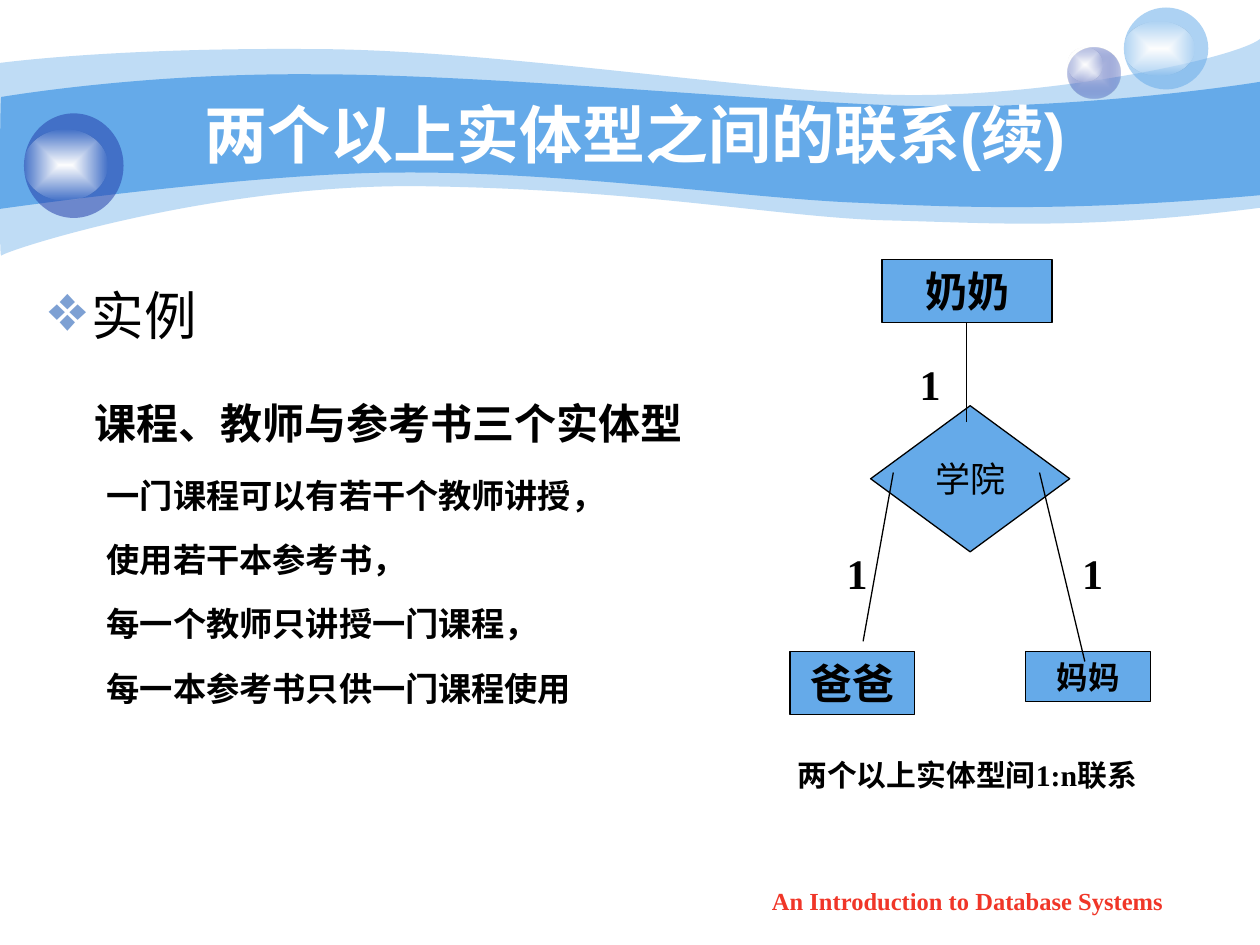
from dataclasses import dataclass, field
from typing import NamedTuple, Optional

from lxml import etree
from pptx import Presentation
from pptx.dml.color import RGBColor
from pptx.enum.shapes import MSO_CONNECTOR as CONN, MSO_SHAPE as SHAPE
from pptx.enum.text import MSO_ANCHOR as ANCHOR, MSO_AUTO_SIZE as FIT, PP_ALIGN as ALIGN
from pptx.oxml import parse_xml
from pptx.oxml.ns import nsdecls, qn
from pptx.util import Inches, Pt

SKY, NAVY, WHITE, BLACK = "65AAE9", "233DA9", "FFFFFF", "000000"
SERIF = dict(name="Times New Roman", bold=True)


class Box(NamedTuple):
    x: float
    y: float
    w: float
    h: float


@dataclass
class Band:
    start: tuple
    segments: list
    alpha: Optional[int] = None


@dataclass
class Orb:
    box: Box
    color: str
    alpha: Optional[int] = None
    inner: Optional[str] = None


@dataclass
class Node:
    text: str
    box: Box
    size: int = 24
    kind: SHAPE = SHAPE.RECTANGLE
    bold: bool = True


@dataclass
class Label:
    text: str
    box: Box
    size: int = 24
    color: str = BLACK
    align: ALIGN = ALIGN.LEFT


@dataclass
class Para:
    text: str
    size: int
    left: float
    before: float = 0
    bold: bool = True
    bullet: dict = field(default_factory=dict)


BANDS = [
    Band((0, 0.5), [
        ((0.24, 0.47), (1.08, 0.38), (2.47, 0.39)),
        ((3.86, 0.39), (5.75, 0.7), (6.99, 0.75)),
        ((8.22, 0.8), (9.8, 0.47), (10, 0.31)),
        ((10, 1.65),),
        ((8.58, 1.83), (7.88, 1.77), (7.05, 1.75)),
        ((6.22, 1.73), (5.15, 1.51), (3.43, 1.48)),
        ((1.72, 1.44), (0.04, 1.99), (0.01, 2.03)),
        ((-0.01, 2.08), (0, 0.75), (0, 0.5))], 41),
    Band((0.01, 0.77), [
        ((0.02, 0.77), (1.1, 0.58), (2.48, 0.59)),
        ((3.87, 0.59), (5.96, 0.8), (7.18, 0.84)),
        ((8.41, 0.88), (9.76, 0.69), (10, 0.65)),
        ((10, 1.55),),
        ((8.53, 1.68), (7.65, 1.65), (6.82, 1.61)),
        ((5.99, 1.58), (4.47, 1.36), (3.17, 1.37)),
        ((2.03, 1.37), (-0.02, 1.66), (-0.01, 1.66)),
        ((0, 1.66), (0, 0.77), (0.01, 0.77))]),
]
ORBS = [
    Orb(Box(8.47, 0.38, 0.42, 0.4), NAVY, 31, "C7CEE9"),
    Orb(Box(8.47, 0.38, 0.28, 0.27), WHITE, 0, WHITE),
    Orb(Box(8.92, 0.06, 0.67, 0.65), SKY, 53),
    Orb(Box(8.92, 0.17, 0.56, 0.43), WHITE, 0, WHITE),
    Orb(Box(0.19, 0.9, 0.79, 0.83), NAVY, 53),
    Orb(Box(0.19, 1.03, 0.66, 0.56), WHITE, 0, WHITE),
]
BODY = [
    Para("实例", 30, 0.38, bold=False, bullet=dict(char="❖", color="7DA0D3", size=125, hang=0.34)),
    Para("课程、教师与参考书三个实体型", 24, 0.4, 17.5),
    Para("一门课程可以有若干个教师讲授，", 19, 0.5, 6.8),
    Para("使用若干本参考书，", 19, 0.5, 4.8),
    Para("每一个教师只讲授一门课程，", 19, 0.5, 4.8),
    Para("每一本参考书只供一门课程使用", 19, 0.5, 4.8),
]
NODES = [
    Node("奶奶", Box(7, 2.06, 1.35, 0.5)),
    Node("学院", Box(6.91, 3.22, 1.58, 1.16), 20, SHAPE.DIAMOND, False),
    Node("爸爸", Box(6.27, 5.17, 0.99, 0.5)),
    Node("妈妈", Box(8.14, 5.17, 0.99, 0.4), 18),
]
LINKS = [(7.67, 3.35, 7.67, 2.56), (7.09, 3.75, 6.85, 5.09), (8.25, 3.75, 8.61, 5.25)]
LABELS = [Label("1", Box(x, y, 0.29, 0.5)) for x, y in ((7.2, 2.8), (6.62, 4.3), (8.49, 4.3))] + [
    Label("两个以上实体型间1:n联系", Box(6.1, 5.96, 3.15, 0.39), 17, align=ALIGN.CENTER),
    Label("An Introduction to Database Systems", Box(5.71, 6.98, 3.94, 0.35), 14, "F03628", ALIGN.CENTER),
]


def rgb(color: str) -> RGBColor:
    return RGBColor.from_string(color)


def apply(obj, formats: dict) -> None:
    for name, value in formats.items():
        setattr(obj, name, value)


def inches(box) -> list:
    return [Inches(v) for v in box]


def write(p, text: str, size: float, color: str, **font) -> None:
    r = p.add_run()
    r.text = text
    apply(r.font, dict(size=Pt(size), **font))
    r.font.color.rgb = rgb(color)


def paint(sp, color: str, alpha: Optional[int] = None) -> None:
    sp.shadow.inherit = False
    sp.fill.solid()
    sp.fill.fore_color.rgb = rgb(color)
    sp.line.fill.background()
    if alpha is not None:
        clr = sp._element.spPr.find(qn("a:solidFill"))[0]
        etree.SubElement(clr, qn("a:alpha")).set("val", str(alpha * 1000))


def glow(sp, inner: str, outer: str, alpha: int) -> None:
    solid = sp._element.spPr.find(qn("a:solidFill"))
    grad = parse_xml(
        f'<a:gradFill {nsdecls("a")} rotWithShape="1"><a:gsLst>'
        f'<a:gs pos="0"><a:srgbClr val="{inner}"/></a:gs>'
        f'<a:gs pos="100000"><a:srgbClr val="{outer}"><a:alpha val="{alpha * 1000}"/></a:srgbClr></a:gs>'
        '</a:gsLst><a:path path="rect"><a:fillToRect l="50000" t="50000" r="50000" b="50000"/>'
        '</a:path></a:gradFill>')
    solid.getparent().replace(solid, grad)


def bend(sp, segments: list) -> None:
    lines = iter(list(sp._element.iter(qn("a:lnTo"))))
    for seg in segments:
        first, *rest = [next(lines) for _ in seg]
        if rest:
            curve = etree.Element(qn("a:cubicBezTo"))
            first.addprevious(curve)
            for line in (first, *rest):
                curve.append(line[0])
                line.getparent().remove(line)


def draw_band(s, band: Band) -> None:
    builder = s.shapes.build_freeform(*inches(band.start))
    builder.add_line_segments([inches(pt) for seg in band.segments for pt in seg], close=True)
    sp = builder.convert_to_shape()
    bend(sp, band.segments)
    paint(sp, SKY, band.alpha)


def draw_orb(s, orb: Orb) -> None:
    sp = s.shapes.add_shape(SHAPE.OVAL, *inches(orb.box))
    paint(sp, orb.color, orb.alpha)
    if orb.inner:
        glow(sp, orb.inner, orb.color, orb.alpha)


def draw_title(s, text: str) -> None:
    sp = s.shapes.title
    apply(sp, dict(zip(("left", "top", "width", "height"), inches((1, 0.75, 8.08, 0.62)))))
    sp._element.getparent().append(sp._element)
    tf = sp.text_frame
    apply(tf, dict(word_wrap=True, auto_size=FIT.NONE, vertical_anchor=ANCHOR.MIDDLE))
    tf.paragraphs[0].alignment = ALIGN.CENTER
    write(tf.paragraphs[0], text, 36, WHITE, name="Arial", bold=True)


def draw_body(s, paras: list) -> None:
    tf = s.shapes.add_textbox(*inches((0.25, 2, 9, 4.92))).text_frame
    tf.word_wrap = True
    for i, para in enumerate(paras):
        p = tf.add_paragraph() if i else tf.paragraphs[0]
        pPr = p._p.get_or_add_pPr()
        pPr.set("marL", str(Inches(para.left)))
        pPr.set("indent", str(-Inches(para.bullet.get("hang", 0))))
        if para.bullet:
            clr = etree.SubElement(pPr, qn("a:buClr"))
            etree.SubElement(clr, qn("a:srgbClr")).set("val", para.bullet["color"])
            etree.SubElement(pPr, qn("a:buSzPct")).set("val", str(para.bullet["size"] * 1000))
            etree.SubElement(pPr, qn("a:buChar")).set("char", para.bullet["char"])
        apply(p, dict(line_spacing=1.4, space_before=Pt(para.before)))
        write(p, para.text, para.size, BLACK, name="Arial", bold=para.bold)


def draw_node(s, node: Node) -> None:
    sp = s.shapes.add_shape(node.kind, *inches(node.box))
    paint(sp, SKY)
    sp.line.color.rgb = rgb(BLACK)
    sp.line.width = Pt(0.75)
    diamond = node.kind == SHAPE.DIAMOND
    tf = sp.text_frame
    apply(tf, dict(word_wrap=not diamond, vertical_anchor=ANCHOR.MIDDLE if diamond else ANCHOR.TOP))
    tf.paragraphs[0].alignment = ALIGN.CENTER
    write(tf.paragraphs[0], node.text, node.size, BLACK, **{**SERIF, "bold": node.bold})


def draw_link(s, ends: tuple) -> None:
    line = s.shapes.add_connector(CONN.STRAIGHT, *inches(ends))
    line.line.color.rgb = rgb(BLACK)
    line.line.width = Pt(0.75)
    etree.SubElement(line._element.spPr, qn("a:effectLst"))


def draw_label(s, label: Label) -> None:
    tf = s.shapes.add_textbox(*inches(label.box)).text_frame
    tf.word_wrap = True
    tf.paragraphs[0].alignment = label.align
    write(tf.paragraphs[0], label.text, label.size, label.color, **SERIF)


def draw_all(s, *groups: tuple) -> None:
    for draw, items in groups:
        for item in items:
            draw(s, item)


def main() -> None:
    prs = Presentation()
    apply(prs, dict(slide_width=Inches(10), slide_height=Inches(7.5)))
    s = prs.slides.add_slide(prs.slide_layouts[5])
    draw_all(s, (draw_band, BANDS), (draw_orb, ORBS))
    draw_title(s, "两个以上实体型之间的联系(续)")
    draw_body(s, BODY)
    draw_all(s, (draw_node, NODES), (draw_link, LINKS), (draw_label, LABELS))
    prs.save("out.pptx")


if __name__ == "__main__":
    main()
